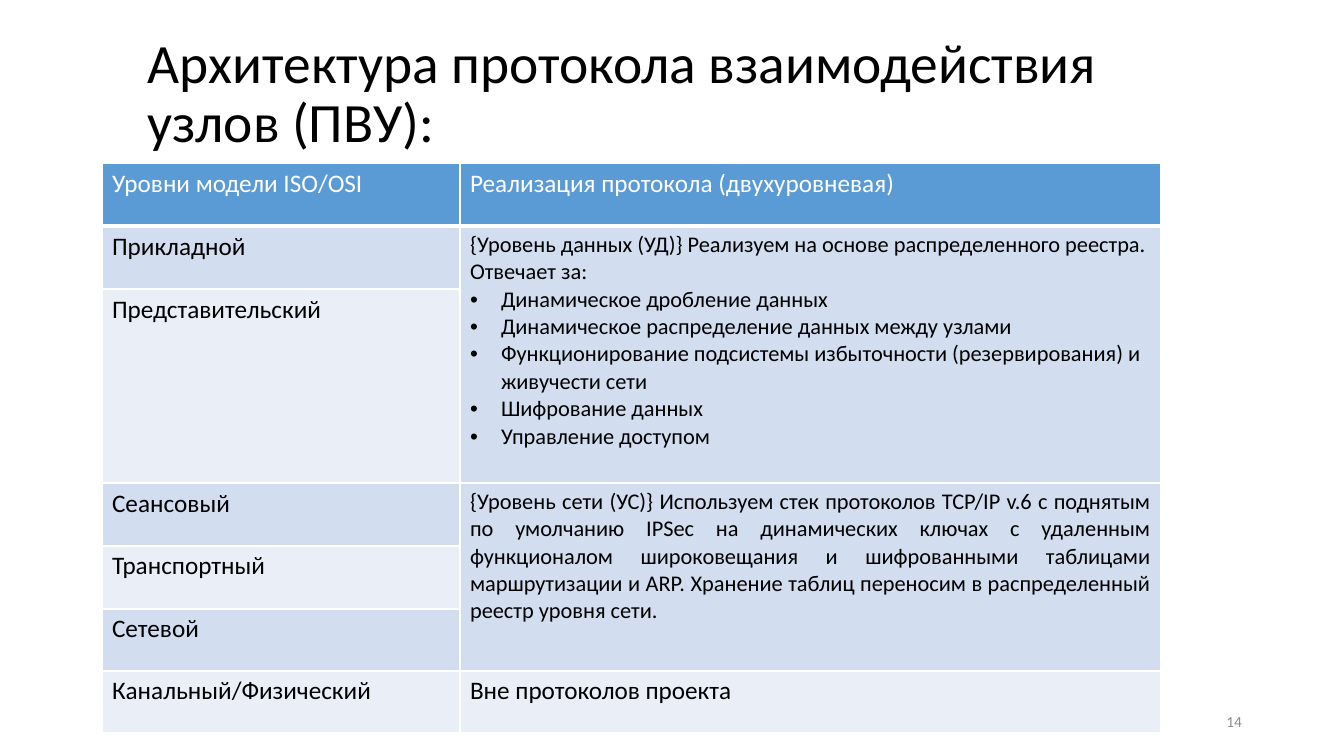
from lxml.etree import SubElement
from pptx import Presentation
from pptx.dml.color import RGBColor
from pptx.enum.text import MSO_ANCHOR, PP_ALIGN
from pptx.oxml.ns import qn
from pptx.util import Pt

PX = 9071
FONT = "Calibri"
WHITE = RGBColor(0xFF, 0xFF, 0xFF)
BLACK = RGBColor(0x00, 0x00, 0x00)
GRAY = RGBColor(0x8C, 0x8C, 0x8C)
HEADER_BLUE = RGBColor(0x5B, 0x9B, 0xD5)
BAND_DARK = RGBColor(0xD2, 0xDE, 0xEF)
BAND_LIGHT = RGBColor(0xEA, 0xEF, 0xF7)

TITLE = "Архитектура протокола взаимодействия узлов (ПВУ):"
HEADERS = ["Уровни модели ISO/OSI", "Реализация протокола (двухуровневая)"]
LAYERS = ["Прикладной", "Представительский", "Сеансовый",
          "Транспортный", "Сетевой", "Канальный/Физический"]
DATA_INTRO = ("{Уровень данных (УД)} Реализуем на основе распределенного реестра. "
              "Отвечает за:")
DATA_DUTIES = [
    "Динамическое дробление данных",
    "Динамическое распределение данных между узлами",
    "Функционирование подсистемы избыточности (резервирования) и живучести сети",
    "Шифрование данных",
    "Управление доступом",
]
NETWORK_LEVEL = (
    "{Уровень сети (УС)} Используем стек протоколов TCP/IP v.6 с поднятым "
    "по умолчанию IPSec на динамических ключах с удаленным функционалом "
    "широковещания и шифрованными таблицами маршрутизации и ARP. "
    "Хранение таблиц переносим в распределенный реестр уровня сети. "
)
OUT_OF_SCOPE = "Вне протоколов проекта"
ROW_HEIGHTS = [63, 63, 194, 63, 63, 62, 62]
COLUMN_WIDTHS = [358, 701]


def write(paragraph, text, size, color, align=PP_ALIGN.LEFT):
    paragraph.text = text
    paragraph.alignment = align
    for run in paragraph.runs:
        run.font.name = FONT
        run.font.size = Pt(size)
        run.font.bold = False
        run.font.color.rgb = color


def add_bullet(paragraph, indent):
    properties = paragraph._p.get_or_add_pPr()
    properties.set("marL", str(indent * PX))
    properties.set("indent", str(-indent * PX))
    SubElement(properties, qn("a:buFont"), typeface="Arial")
    SubElement(properties, qn("a:buChar"), char="•")


def add_label(slide, box, text, size, color, align=PP_ALIGN.LEFT):
    frame = slide.shapes.add_textbox(*(length * PX for length in box)).text_frame
    frame.word_wrap = True
    frame.vertical_anchor = MSO_ANCHOR.MIDDLE
    write(frame.paragraphs[0], text, size, color, align)
    return frame


def add_title(slide, box):
    add_label(slide, box, TITLE, 39.6, BLACK).paragraphs[0].line_spacing = 0.9


def style_cell(cell, fill, bottom_width=1, top_width=1):
    properties = cell._tc.get_or_add_tcPr()
    widths = {"a:lnL": 1, "a:lnR": 1, "a:lnT": top_width, "a:lnB": bottom_width}
    for side, width in widths.items():
        line = SubElement(properties, qn(side), w=str(Pt(width)))
        SubElement(SubElement(line, qn("a:solidFill")), qn("a:srgbClr"), val=str(WHITE))
    cell.fill.solid()
    cell.fill.fore_color.rgb = fill


def fill_data_level(cell):
    frame = cell.text_frame
    write(frame.paragraphs[0], DATA_INTRO, 16, BLACK)
    for duty in DATA_DUTIES:
        paragraph = frame.add_paragraph()
        write(paragraph, duty, 16, BLACK)
        add_bullet(paragraph, 31)


def add_protocol_table(slide, left, top):
    table = slide.shapes.add_table(
        len(ROW_HEIGHTS), len(COLUMN_WIDTHS), left * PX, top * PX,
        sum(COLUMN_WIDTHS) * PX, sum(ROW_HEIGHTS) * PX).table
    for column, width in zip(table.columns, COLUMN_WIDTHS):
        column.width = width * PX
    for row, height in zip(table.rows, ROW_HEIGHTS):
        row.height = height * PX

    for index in range(len(ROW_HEIGHTS)):
        band = BAND_DARK if index % 2 else BAND_LIGHT
        merged_band = BAND_LIGHT if index == len(LAYERS) else BAND_DARK
        fills = (band, merged_band) if index else (HEADER_BLUE, HEADER_BLUE)
        for column, fill in enumerate(fills):
            style_cell(table.cell(index, column), fill,
                       3 if index == 0 else 1, 3 if index == 1 else 1)

    for column, header in enumerate(HEADERS):
        write(table.cell(0, column).text_frame.paragraphs[0], header, 18, WHITE)
    for index, layer in enumerate(LAYERS, 1):
        write(table.cell(index, 0).text_frame.paragraphs[0], layer, 18, BLACK)

    table.cell(1, 1).merge(table.cell(2, 1))
    table.cell(3, 1).merge(table.cell(5, 1))
    fill_data_level(table.cell(1, 1))
    write(table.cell(3, 1).text_frame.paragraphs[0], NETWORK_LEVEL, 16, BLACK,
          PP_ALIGN.JUSTIFY)
    write(table.cell(6, 1).text_frame.paragraphs[0], OUT_OF_SCOPE, 18, BLACK)


def main():
    presentation = Presentation()
    presentation.slide_width = 1344 * PX
    presentation.slide_height = 756 * PX
    slide = presentation.slides.add_slide(presentation.slide_layouts[6])
    add_title(slide, (138, 54, 1068, 82))
    add_label(slide, (950, 701, 302, 40), "14", 11, GRAY, PP_ALIGN.RIGHT)
    add_protocol_table(slide, 102, 163)
    presentation.save("out.pptx")


if __name__ == "__main__":
    main()
